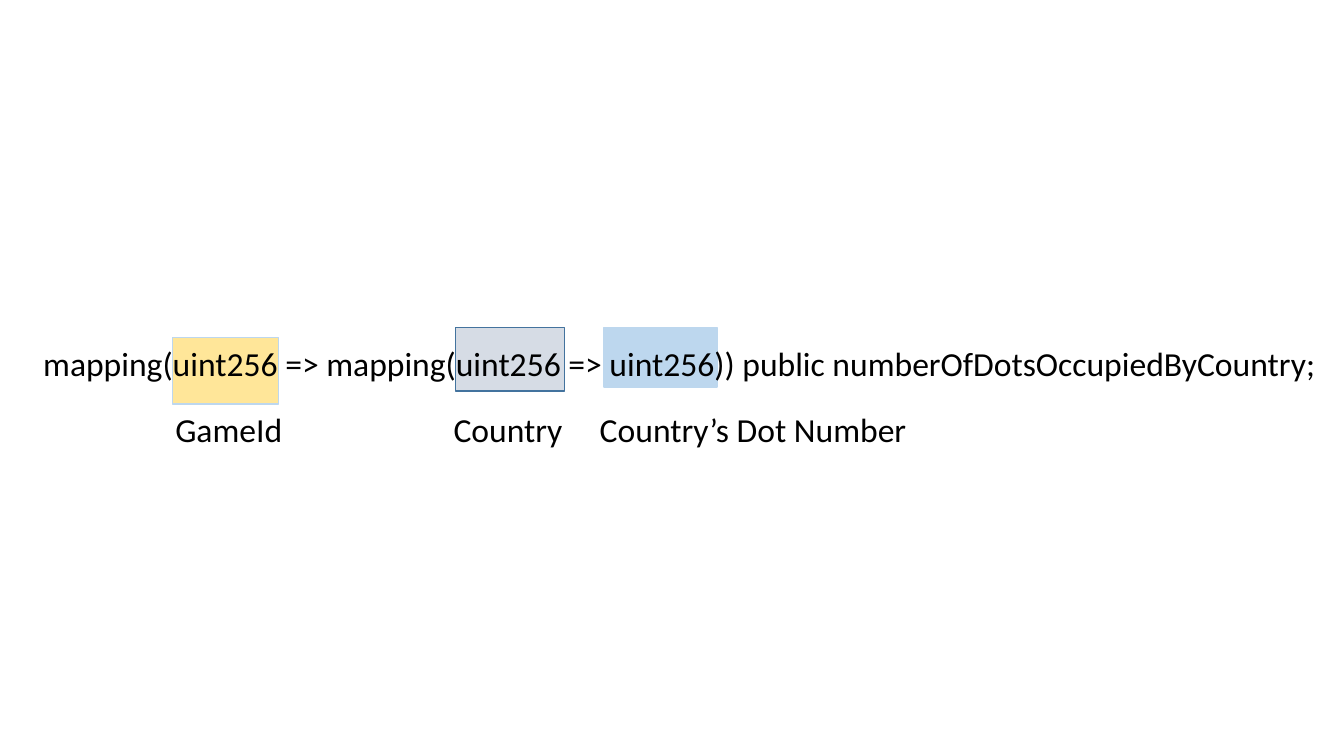
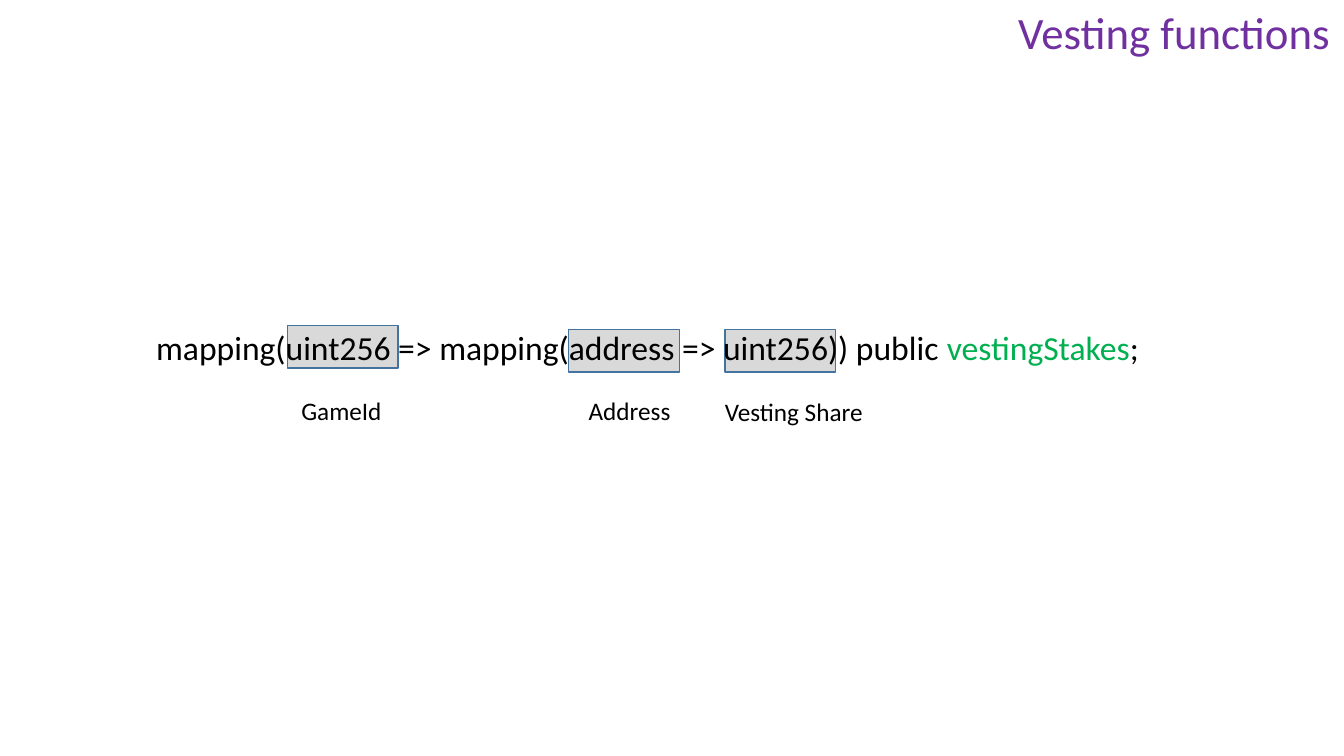
from dataclasses import dataclass

from pptx import Presentation
from pptx.dml.color import RGBColor
from pptx.enum.shapes import MSO_SHAPE
from pptx.enum.text import MSO_AUTO_SIZE
from pptx.util import Inches, Pt

RECTANGLE = MSO_SHAPE.RECTANGLE
FIT_SHAPE = MSO_AUTO_SIZE.SHAPE_TO_FIT_TEXT


@dataclass(frozen=True)
class Theme:
    """Colours, font and type sizes shared by the slides."""

    font: str = "Calibri"
    ink: str = "000000"
    title: str = "7030A0"
    variable: str = "00B050"
    outline: str = "43739E"
    yellow: str = "FFE699"
    slate: str = "D6DCE5"
    sky: str = "BDD7EE"
    grey: str = "D9D9D9"
    title_size: int = 32
    code_size: int = 24
    label_size: int = 18


class Deck:
    """Holds the theme and the current slide, and draws its elements."""

    def __init__(self, theme):
        self.theme = theme
        self.presentation = Presentation()
        self.presentation.slide_width = Inches(13.33)
        self.presentation.slide_height = Inches(7.5)
        self.slide = None

    def new_slide(self):
        """Start a blank slide."""
        self.slide = self.presentation.slides.add_slide(self.presentation.slide_layouts[6])

    def highlight(self, place, fill, outline):
        """Draw a coloured block behind one type in the declaration."""
        block = self.slide.shapes.add_shape(RECTANGLE, *map(Inches, place))
        block.shadow.inherit = False
        block.fill.solid()
        block.fill.fore_color.rgb = RGBColor.from_string(fill)
        block.line.color.rgb = RGBColor.from_string(outline)
        block.line.width = Pt(1)

    def text(self, place, parts, size, wrap=True):
        """Write one line made of (wording, colour) parts."""
        frame = self.slide.shapes.add_textbox(*map(Inches, place)).text_frame
        for name, value in {"word_wrap": wrap, "auto_size": FIT_SHAPE}.items():
            setattr(frame, name, value)
        font_format = {"name": self.theme.font, "size": Pt(size)}
        for wording, colour in parts:
            run = frame.paragraphs[0].add_run()
            run.text = wording
            run.font.color.rgb = RGBColor.from_string(colour)
            for name, value in font_format.items():
                setattr(run.font, name, value)

    def title(self, wording):
        """Write the heading in the top right corner."""
        theme = self.theme
        self.text((10, 0, 3.33, 0.64), [(wording, theme.title)], theme.title_size, wrap=False)

    def labels(self, entries, size, height, wrap):
        """Write the meanings below the highlighted types."""
        for wording, left, top, width in entries:
            self.text((left, top, width, height), [(wording, self.theme.ink)], size, wrap)


theme = Theme()
deck = Deck(theme)

deck.new_slide()
for place, fill, outline in (
    ((4.52, 3.25, 1.08, 0.63), theme.slate, theme.outline),
    ((5.99, 3.25, 1.12, 0.59), theme.sky, theme.sky),
    ((1.71, 3.35, 1.05, 0.66), theme.yellow, theme.sky),
):
    deck.highlight(place, fill, outline)
dots_declaration = "mapping(uint256 => mapping(uint256 => uint256)) public numberOfDotsOccupiedByCountry;"
deck.text((0.33, 3.35, 13.01, 0.5), [(dots_declaration, theme.ink)], theme.code_size)
dots_meanings = (
    ("GameId", 1.64, 4.01, 1.65),
    ("Country", 4.4, 4.01, 1.67),
    ("Country’s Dot Number", 5.85, 4.01, 4.3),
)
deck.labels(dots_meanings, theme.code_size, 0.5, wrap=True)

deck.new_slide()
for left, top in ((7.19, 3.27), (5.64, 3.27), (2.85, 3.23)):
    deck.highlight((left, top, 1.1, 0.42), theme.grey, theme.outline)
vesting_declaration = (
    ("mapping(uint256 => mapping(address => uint256)) public ", theme.ink),
    ("vestingStakes", theme.variable),
    (";", theme.ink),
)
deck.text((1.45, 3.19, 11.78, 0.5), vesting_declaration, theme.code_size)
deck.title("Vesting functions")
vesting_meanings = (
    ("GameId", 2.89, 3.87, 1.01),
    ("Address", 5.74, 3.87, 1.02),
    ("Vesting Share", 7.09, 3.88, 1.59),
)
deck.labels(vesting_meanings, theme.label_size, 0.4, wrap=False)

deck.presentation.save("out.pptx")
